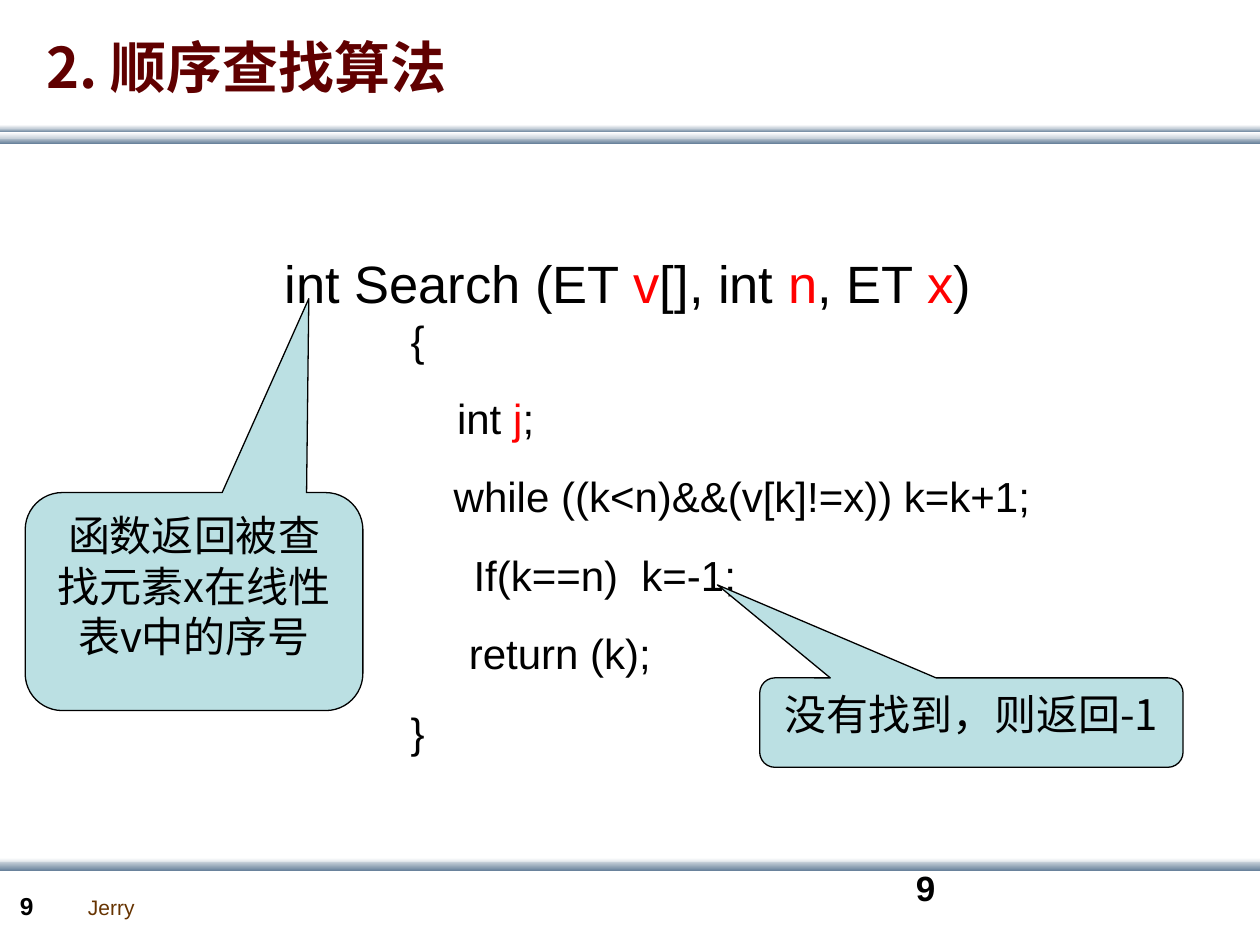
from pptx import Presentation
from pptx.dml.color import RGBColor
from pptx.enum.shapes import MSO_SHAPE as SHAPE
from pptx.enum.text import MSO_ANCHOR as ANCHOR, PP_ALIGN as ALIGN
from pptx.oxml.ns import qn
from pptx.util import Inches, Pt
from lxml.etree import SubElement

BLACK = RGBColor(0x00, 0x00, 0x00)
WHITE = RGBColor(0xFF, 0xFF, 0xFF)
RED = RGBColor(0xFF, 0x00, 0x00)
MAROON = RGBColor(0x60, 0x00, 0x00)
BROWN = RGBColor(0x66, 0x33, 0x00)
AQUA = RGBColor(0xBB, 0xE0, 0xE3)
MIST = RGBColor(0xC8, 0xD1, 0xDA)
STEEL = RGBColor(0x6A, 0x83, 0x9C)

WIDTH, HEIGHT = Inches(10), Inches(7.5)
COL, ROW = WIDTH / 100, HEIGHT / 75

BANDS = [
    (10.9, 0.5, MIST, STEEL),
    (10.2, 0.3, MIST, STEEL),
    (10.5, 0.5, WHITE, MIST),
    (9.9, 0.3, WHITE, MIST),
    (68.1, 0.5, WHITE, MIST),
    (68.4, 0.7, MIST, STEEL),
]
SIGNATURE = [("int Search (ET ", BLACK), ("v", RED), ("[], int ", BLACK), ("n", RED),
             (", ET ", BLACK), ("x", RED), (")", BLACK)]
CODE = [
    (10, [("{", BLACK)]),
    (10, [("    int ", BLACK), ("j", RED), (";", BLACK)]),
    (12.5, [(" while ((k<n)&&(v[k]!=x)) k=k+1;", BLACK)]),
    (15, [("If(k==n)  k=-1;", BLACK)]),
    (10, [("     return (k);", BLACK)]),
    (10, [("}", BLACK)]),
]


def cells(col, row, cols, rows):
    return round(col * COL), round(row * ROW), round(cols * COL), round(rows * ROW)


def add_text(p, text, size=24, font="Arial", color=BLACK, bold=False, align=ALIGN.LEFT):
    p.alignment = align
    r = p.add_run()
    r.text = text
    r.font.size = Pt(size)
    r.font.bold = bold
    r.font.color.rgb = color
    r.font.name = font
    SubElement(r.font._element, qn("a:ea")).set("typeface", font)


def add_band(s, row, rows, top_color, bottom_color):
    sp = s.shapes.add_shape(SHAPE.RECTANGLE, *cells(0, row, 100, rows))
    sp.shadow.inherit = False
    sp.line.fill.background()
    sp.fill.gradient()
    sp.fill.gradient_angle = 270
    for stop, color in zip(sp.fill.gradient_stops, (top_color, bottom_color)):
        stop.color.rgb = color


def add_title(s, text):
    sp = s.shapes.title
    sp.left, sp.top, sp.width, sp.height = cells(2.7, 2.5, 96, 5.5)
    tf = sp.text_frame
    tf.vertical_anchor = ANCHOR.MIDDLE
    add_text(tf.paragraphs[0], text, size=32, font="Noto Sans CJK SC", color=MAROON, bold=True)


def add_label(s, area, text, wrap=True, **style):
    tf = s.shapes.add_textbox(*cells(*area)).text_frame
    tf.word_wrap = wrap
    add_text(tf.paragraphs[0], text, **style)


def add_code(s):
    tf = s.shapes.add_textbox(*cells(21.6, 19.45, 66.9, 42)).text_frame
    tf.word_wrap = True
    for text, color in SIGNATURE:
        add_text(tf.paragraphs[0], text, size=30, color=color)
    for i, (indent, parts) in enumerate(CODE):
        p = tf.add_paragraph()
        p._p.get_or_add_pPr().set("marL", str(round(indent * COL)))
        p.space_before = Pt(16 if i else 0)
        for text, color in parts:
            add_text(p, text, color=color)


def add_callout(s, area, tail, text):
    sp = s.shapes.add_shape(SHAPE.ROUNDED_RECTANGULAR_CALLOUT, *cells(*area))
    sp.shadow.inherit = False
    for i, value in enumerate((*tail, 0.17)):
        sp.adjustments[i] = value
    sp.fill.solid()
    sp.fill.fore_color.rgb = AQUA
    sp.line.color.rgb = BLACK
    sp.line.width = Pt(0.75)
    tf = sp.text_frame
    tf.word_wrap = True
    tf.vertical_anchor = ANCHOR.TOP
    add_text(tf.paragraphs[0], text, font="Noto Sans CJK JP", align=ALIGN.CENTER)


def main():
    prs = Presentation()
    prs.slide_width, prs.slide_height = WIDTH, HEIGHT
    s = prs.slides.add_slide(prs.slide_layouts[5])
    for band in BANDS:
        add_band(s, *band)
    add_label(s, (6, 70.5, 5.7, 3), "Jerry", wrap=False, size=12, color=BROWN)
    add_label(s, (0.6, 70.2, 5.5, 3.4), "9", size=14, bold=True)
    add_label(s, (71.7, 68.3, 23.3, 5), "9", size=20, bold=True)
    add_title(s, "2. 顺序查找算法")
    add_code(s)
    add_callout(s, (2, 39.1, 26.8, 17.3), (0.34, -1.39), "函数返回被查找元素x在线性表v中的序号")
    add_callout(s, (60.3, 53.8, 33.6, 7.1), (-0.6, -1.54), "没有找到，则返回-1")
    prs.save("out.pptx")


if __name__ == "__main__":
    main()
